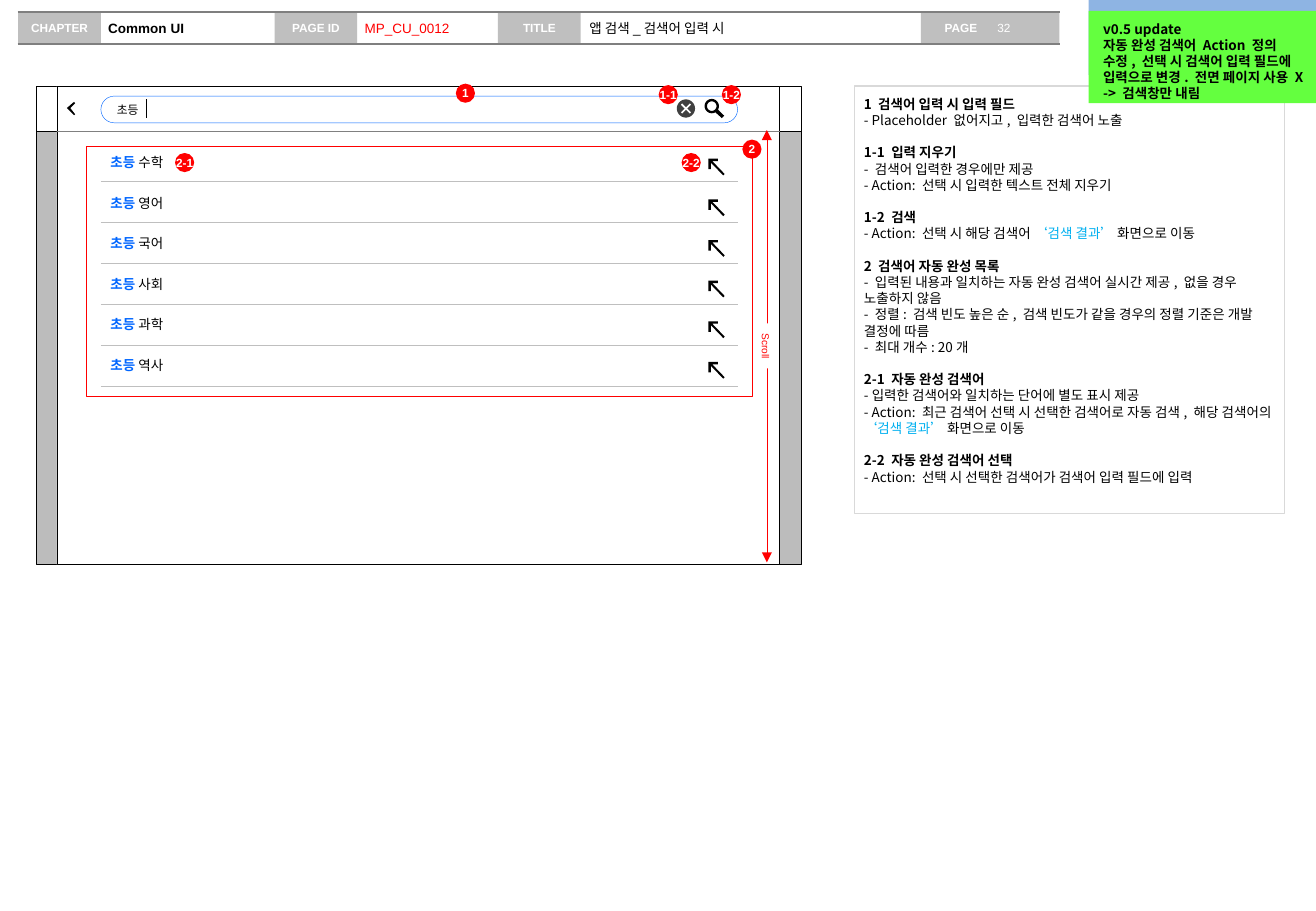
from dataclasses import dataclass
from math import cos, radians, sin
from typing import NamedTuple, Optional

from lxml.etree import SubElement
from pptx import Presentation
from pptx.dml.color import RGBColor
from pptx.enum.shapes import MSO_CONNECTOR as Connector, MSO_SHAPE as Preset
from pptx.enum.text import MSO_ANCHOR as Anchor, MSO_AUTO_SIZE as AutoSize, PP_ALIGN as Align
from pptx.oxml.ns import qn
from pptx.util import Cm, Pt

COLORS = {
    "black": "000000", "white": "FFFFFF", "red": "FF0000", "label": "BFBFBF",
    "rule": "7F7F7F", "shade": "595959", "divider": "808080", "border": "D9D9D9",
    "icon": "404040", "blue": "0066FF", "link": "00B0F0", "old": "8EB4E3", "update": "64FF3F",
}
KOREAN = "Noto Sans CJK KR"
HAIRLINE = 0.25


class Span(NamedTuple):
    text: str
    color: str = "black"
    bold: bool = False


class Box(NamedTuple):
    left: float
    top: float
    width: float
    height: float


@dataclass
class Style:
    size: float = 8
    font: str = "Arial"
    align: Align = Align.LEFT
    anchor: Anchor = Anchor.MIDDLE
    insets: tuple = (0, 0, 0, 0)
    wrap: bool = True
    line: Optional[float] = None
    gap: float = 0


@dataclass
class Panel:
    box: Box
    fill: Optional[str] = None
    line: Optional[str] = None
    weight: float = HAIRLINE
    preset: Preset = Preset.RECTANGLE
    alpha: Optional[int] = None


class Rule(NamedTuple):
    start: tuple
    end: tuple
    color: str
    weight: float = HAIRLINE
    arrows: bool = False


def rgb(name: str) -> RGBColor:
    return RGBColor.from_string(COLORS[name])


def place(shape, box: Box) -> None:
    shape.left, shape.top, shape.width, shape.height = (Cm(value) for value in box)


def write(shape, lines: list, style: Style, starts: tuple = ()) -> None:
    frame = shape.text_frame
    frame.auto_size = AutoSize.NONE
    frame.word_wrap = style.wrap
    frame.vertical_anchor = style.anchor
    frame.margin_left, frame.margin_top, frame.margin_right, frame.margin_bottom = (
        Cm(value) for value in style.insets)
    frame.text = "\n".join(spans[0].text for spans in lines)
    for index, (paragraph, spans) in enumerate(zip(frame.paragraphs, lines)):
        paragraph.alignment = style.align
        paragraph.space_before = Pt(style.gap if index in starts else 0)
        if style.line:
            paragraph.line_spacing = Pt(style.line)
        properties = paragraph._p.get_or_add_pPr()
        properties.set("marL", "0")
        properties.set("indent", "0")
        SubElement(properties, qn("a:buNone"))
        for span in spans[1:]:
            paragraph.add_run().text = span.text
        for run, span in zip(paragraph.runs, spans):
            run.font.size = Pt(style.size)
            run.font.name = style.font
            run.font.bold = span.bold
            run.font.color.rgb = rgb(span.color)
            SubElement(run._r.get_or_add_rPr(), qn("a:ea")).set("typeface", KOREAN)


def draw_panel(slide, panel: Panel):
    shape = slide.shapes.add_shape(panel.preset, *(Cm(value) for value in panel.box))
    shape.shadow.inherit = False
    if panel.fill:
        shape.fill.solid()
        shape.fill.fore_color.rgb = rgb(panel.fill)
    else:
        shape.fill.background()
    if panel.alpha:
        color = shape._element.spPr.find(qn("a:solidFill"))[0]
        SubElement(color, qn("a:alpha")).set("val", str(panel.alpha * 1000))
    if panel.line:
        shape.line.color.rgb = rgb(panel.line)
        shape.line.width = Pt(panel.weight)
    else:
        shape.line.fill.background()
    return shape


def draw_rule(slide, rule: Rule) -> None:
    points = (Cm(value) for value in rule.start + rule.end)
    connector = slide.shapes.add_connector(Connector.STRAIGHT, *points)
    connector.line.color.rgb = rgb(rule.color)
    connector.line.width = Pt(rule.weight)
    if rule.arrows:
        for end in ("a:headEnd", "a:tailEnd"):
            SubElement(connector.line._get_or_add_ln(), qn(end)).set("type", "triangle")
    SubElement(connector._element.spPr, qn("a:effectLst"))


def draw_icon(slide, left: float, top: float, contours: list, color: str = "black") -> None:
    scaled = [[(Cm(left + x), Cm(top + y)) for x, y in contour] for contour in contours]
    builder = slide.shapes.build_freeform(*scaled[0][0])
    for index, contour in enumerate(scaled):
        if index:
            builder.move_to(*contour[0])
        builder.add_line_segments(contour[1:], close=True)
    shape = builder.convert_to_shape()
    shape.shadow.inherit = False
    shape.fill.solid()
    shape.fill.fore_color.rgb = rgb(color)
    shape.line.fill.background()


def arc(radius: float, start: int = 0, stop: int = 360) -> list:
    return [(radius * cos(radians(a)), radius * sin(radians(a))) for a in range(start, stop + 1, 10)]


LABEL = Style(7, align=Align.CENTER, wrap=False)
HEADER = Style(insets=(0.15, 0.13, 0, 0.13))
NOTES = Style(font=KOREAN, anchor=Anchor.TOP, insets=(0.2, 0.2, 0.2, 0.2), line=9.6, gap=9.6)
UPDATE = Style(font=KOREAN, anchor=Anchor.TOP, insets=(0.3, 0.2, 0.25, 0.13), line=9.6)
LIST = Style(anchor=Anchor.TOP, line=9.6, gap=14.4)

HEADER_LABELS = [("CHAPTER", 0.38), ("PAGE ID", 5.74), ("TITLE", 10.41)]
HEADER_FIELDS = [
    (0, Box(2.11, 0.28, 3.63, 0.61), Span("Common UI", bold=True)),
    (1, Box(12.17, 0.28, 7.11, 0.61), Span("앱 검색_검색어 입력 시")),
    (3, Box(7.47, 0.28, 2.95, 0.61), Span("MP_CU_0012", "red")),
]
BADGES = [("1", 9.53, 1.75), ("1-1", 13.77, 1.78), ("1-2", 15.09, 1.78),
          ("2", 15.52, 2.92), ("2-1", 3.66, 3.2), ("2-2", 14.25, 3.2)]
SUBJECTS = ["수학", "영어", "국어", "사회", "과학", "역사"]
RESULT_LINK = [Span("‘검색 결과’", "link"), Span(" 화면으로 이동")]
SECTIONS = [
    ("1 검색어 입력 시 입력 필드", [[Span("- Placeholder 없어지고, 입력한 검색어 노출")]]),
    ("1-1 입력 지우기", [[Span("- 검색어 입력한 경우에만 제공")],
                     [Span("- Action: 선택 시 입력한 텍스트 전체 지우기")]]),
    ("1-2 검색", [[Span("- Action: 선택 시 해당 검색어 "), *RESULT_LINK]]),
    ("2 검색어 자동 완성 목록", [
        [Span("- 입력된 내용과 일치하는 자동 완성 검색어 실시간 제공, 없을 경우 노출하지 않음")],
        [Span("- 정렬: 검색 빈도 높은 순, 검색 빈도가 같을 경우의 정렬 기준은 개발 결정에 따름")],
        [Span("- 최대 개수: 20개")]]),
    ("2-1 자동 완성 검색어", [
        [Span("-입력한 검색어와 일치하는 단어에 별도 표시 제공")],
        [Span("- Action: 최근 검색어 선택 시 선택한 검색어로 자동 검색, 해당 검색어의 "), *RESULT_LINK]]),
    ("2-2 자동 완성 검색어 선택", [[Span("- Action: 선택 시 선택한 검색어가 검색어 입력 필드에 입력")]]),
]
CHEVRON = [(0.17, 0.03), (0.15, 0), (0, 0.13), (0.15, 0.28), (0.17, 0.26), (0.07, 0.13)]
CROSS = [(0.11, 0.08), (0.08, 0.11), (0, 0.03), (-0.08, 0.11), (-0.11, 0.08), (-0.03, 0),
         (-0.11, -0.08), (-0.08, -0.11), (0, -0.03), (0.08, -0.11), (0.11, -0.08), (0.03, 0)]
LENS = arc(0.15, 60, 390) + [(0.26, 0.2), (0.21, 0.25)]
FILL_ARROW = [(0.2, 0), (0.2, 0.05), (0.08, 0.05), (0.34, 0.32), (0.31, 0.35),
              (0.05, 0.08), (0.05, 0.22), (0, 0.22), (0, 0)]


def draw_header(slide) -> None:
    for text, left in HEADER_LABELS:
        label = draw_panel(slide, Panel(Box(left, 0.25, 1.73, 0.67), "label"))
        write(label, [[Span(text, "white", True)]], LABEL)
    page = draw_panel(slide, Panel(Box(19.25, 0.25, 2.9, 0.67), "label"))
    write(page, [[Span("PAGE", "white", True)]], Style(7, insets=(0.5, 0.13, 0.25, 0.13), wrap=False))
    number = slide.shapes.add_textbox(Cm(20.75), Cm(0.3), Cm(1.4), Cm(0.56))
    write(number, [[Span("32", "white")]], Style(7, insets=(0.1, 0.13, 0, 0.13)))
    for y in (0.25, 0.92):
        draw_rule(slide, Rule((0.37, y), (22.15, y), "rule", 0.75))
    for index, box, span in HEADER_FIELDS:
        field = slide.placeholders[index]
        place(field, box)
        write(field, [[span]], HEADER)


def draw_notes(slide) -> None:
    lines, starts = [], []
    for heading, details in SECTIONS:
        starts.append(len(lines))
        lines += [[Span(heading, bold=True)], *details]
    notes = slide.placeholders[4]
    place(notes, Box(17.86, 1.8, 8.99, 8.94))
    notes.line.color.rgb = rgb("border")
    notes.line.width = Pt(0.75)
    write(notes, lines, NOTES, tuple(starts[1:]))


def draw_screen(slide) -> None:
    draw_panel(slide, Panel(Box(0.76, 2.74, 16, 9.07), "shade", "black", alpha=40))
    draw_panel(slide, Panel(Box(0.76, 1.8, 16, 0.94), "white", "black"))
    draw_panel(slide, Panel(Box(1.19, 1.8, 15.11, 10.01), "white", "black"))
    field = draw_panel(slide, Panel(Box(2.11, 2.01, 13.31, 0.56), None, "blue",
                                    preset=Preset.ROUNDED_RECTANGLE))
    field.adjustments[0] = 0.5
    write(field, [[Span("초등")]], Style(7, KOREAN, insets=(0.25, 0, 0.25, 0)))
    draw_rule(slide, Rule((3.07, 2.08), (3.07, 2.46), "black", 0.5))
    draw_rule(slide, Rule((1.19, 2.74), (16.31, 2.74), "divider"))
    draw_icon(slide, 1.4, 2.13, [CHEVRON])
    draw_icon(slide, 14.34, 2.27, [arc(0.19), CROSS], "icon")
    draw_icon(slide, 14.88, 2.22, [LENS, arc(0.1)])


def draw_suggestions(slide) -> None:
    suggestions = slide.shapes.add_textbox(Cm(2.31), Cm(3.23), Cm(3.1), Cm(4.62))
    lines = [[Span("초등", "blue", True), Span(f" {subject}")] for subject in SUBJECTS]
    write(suggestions, lines, LIST, tuple(range(1, len(lines))))
    for row in range(len(SUBJECTS)):
        y = 3.78 + 0.86 * row
        draw_rule(slide, Rule((2.11, y), (15.42, y), "label"))
        draw_icon(slide, 14.81, 3.32 + 0.85 * row, [FILL_ARROW])
    draw_panel(slide, Panel(Box(1.8, 3.05, 13.92, 5.23), None, "red"))
    draw_rule(slide, Rule((16.03, 2.72), (16.03, 11.76), "red", arrows=True))
    scroll = draw_panel(slide, Panel(Box(15.54, 7.11, 0.94, 0.25), "white"))
    scroll.rotation = 90
    write(scroll, [[Span("Scroll", "red")]], Style(6, align=Align.CENTER, wrap=False))


def main() -> None:
    presentation = Presentation()
    presentation.slide_width, presentation.slide_height = Cm(27.51), Cm(19.05)
    slide = presentation.slides.add_slide(presentation.slide_layouts[4])
    unused = slide.placeholders[2]._element
    unused.getparent().remove(unused)
    draw_header(slide)
    draw_notes(slide)
    draw_screen(slide)
    draw_suggestions(slide)
    for text, left, top in BADGES:
        badge = draw_panel(slide, Panel(Box(left, top, 0.4, 0.4), "red", preset=Preset.OVAL))
        write(badge, [[Span(text, "white", True)]], LABEL)
    draw_panel(slide, Panel(Box(22.76, 0, 4.75, 1.57), "old"))
    update = draw_panel(slide, Panel(Box(22.76, 0.23, 4.75, 1.93), "update"))
    write(update, [[Span("v0.5 update", bold=True)], [Span(
        "자동 완성 검색어 Action 정의 수정, 선택 시 검색어 입력 필드에 입력으로 변경. "
        "전면 페이지 사용 X -> 검색창만 내림", bold=True)]], UPDATE)
    presentation.save("out.pptx")


if __name__ == "__main__":
    main()
